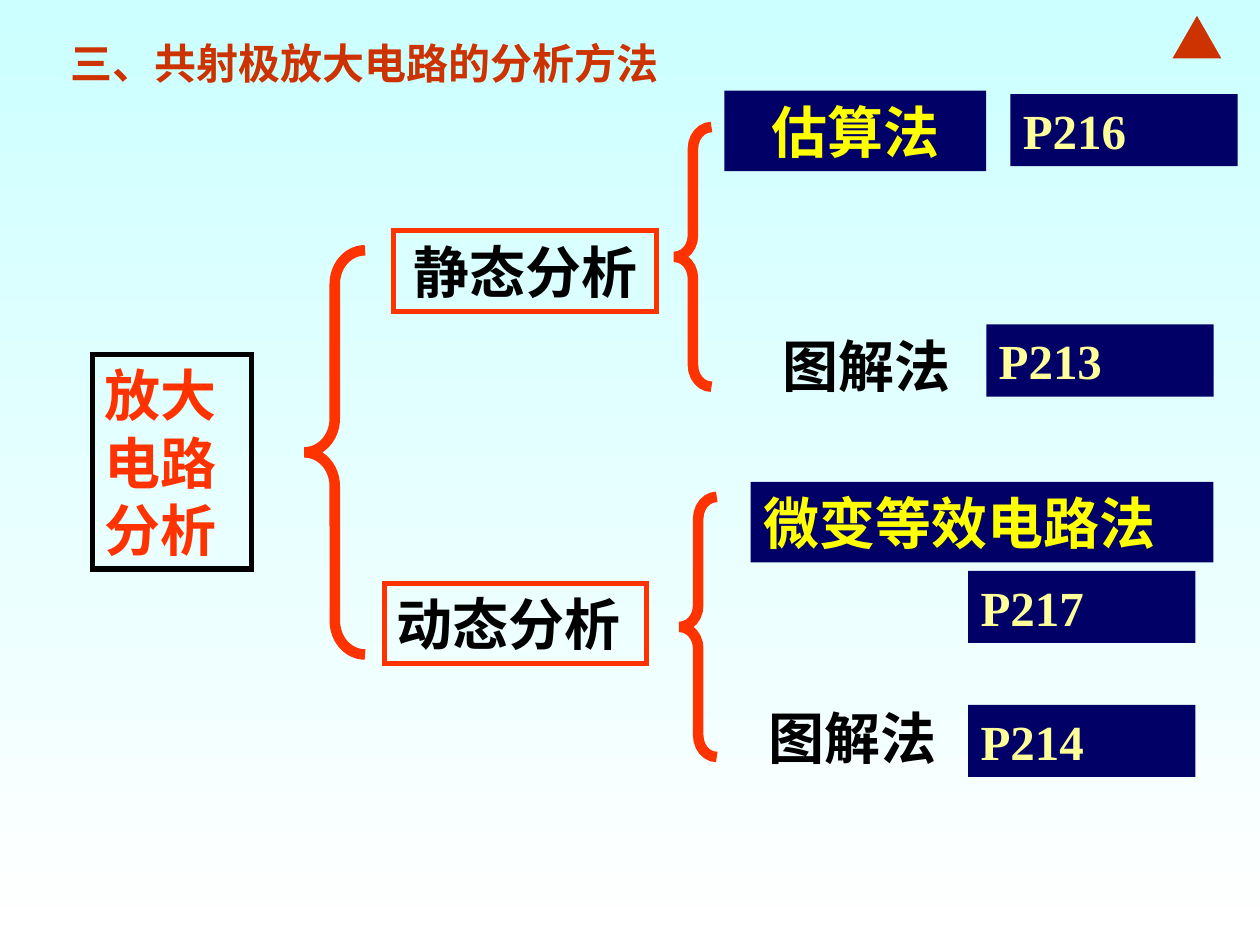
import pptx
import pptx.dml.color
import pptx.enum.shapes
import pptx.enum.text
import pptx.oxml
import pptx.oxml.ns
import pptx.util

Pt = pptx.util.Pt
SHAPE = pptx.enum.shapes.MSO_SHAPE
ANCHOR = pptx.enum.text.MSO_ANCHOR
ALIGN = pptx.enum.text.PP_ALIGN

CJK, LATIN = "Noto Sans CJK SC", "Times New Roman"
NAVY, ORANGE, RUST = "000066", "FF3300", "CC3300"
BLACK, YELLOW = "000000", "FFFF00"


def rgb(value):
    """Turn a hex string into a colour."""
    return pptx.dml.color.RGBColor.from_string(value)


def set_all(obj, values):
    """Set every attribute named in a dict of format values."""
    for name, value in values.items():
        setattr(obj, name, value)


def set_background(slide, top, bottom):
    """Fill the slide with a vertical gradient."""
    fill = slide.background.fill
    fill.gradient()
    fill.gradient_angle = 270
    for stop, color in zip(fill.gradient_stops, (top, bottom)):
        stop.color.rgb = rgb(color)


def add_text(sp, text, color, size, font=CJK, align=ALIGN.LEFT, anchor=ANCHOR.MIDDLE):
    """Write one bold paragraph into a shape."""
    tf = sp.text_frame
    set_all(tf, {"word_wrap": True, "vertical_anchor": anchor,
                 "margin_left": Pt(7.2), "margin_right": Pt(7.2),
                 "margin_top": Pt(3.6), "margin_bottom": Pt(3.6)})
    p = tf.paragraphs[0]
    p.alignment = align
    r = p.add_run()
    r.text = text
    set_all(r.font, {"name": font, "size": Pt(size), "bold": True})
    r.font.color.rgb = rgb(color)
    ea = pptx.oxml.parse_xml(
        f'<a:ea {pptx.oxml.ns.nsdecls("a")} typeface="{font}"/>')
    r.font._element.find(pptx.oxml.ns.qn("a:latin")).addnext(ea)


def add_preset(slide, kind, box, fill=None, line=None, weight=3):
    """Add a preset shape with an optional fill and mitred outline."""
    sp = slide.shapes.add_shape(kind, *map(Pt, box))
    sp.shadow.inherit = False
    if fill:
        sp.fill.solid()
        sp.fill.fore_color.rgb = rgb(fill)
    else:
        sp.fill.background()
    if line:
        sp.line.color.rgb = rgb(line)
        sp.line.width = Pt(weight)
        ln = sp._element.spPr.find(pptx.oxml.ns.qn("a:ln"))
        ln.append(pptx.oxml.parse_xml(
            f'<a:miter {pptx.oxml.ns.nsdecls("a")} lim="800000"/>'))
    else:
        sp.line.fill.background()
    return sp


def add_label(slide, box, text, color, size=32, **style):
    """Add text without a frame."""
    add_text(slide.shapes.add_textbox(*map(Pt, box)), text, color, size, **style)


def add_box(slide, box, text, color, fill=None, line=None, size=32, **style):
    """Add a filled or outlined rectangle holding text."""
    sp = add_preset(slide, SHAPE.RECTANGLE, box, fill, line)
    add_text(sp, text, color, size, **style)


def add_brace(slide, left, top, width, height):
    """Add a left brace whose curves are a twelfth of its height."""
    sp = add_preset(slide, SHAPE.LEFT_BRACE, (left, top, width, height),
                    line=ORANGE, weight=6)
    sp.adjustments[0] = height / 12 / width
    sp.adjustments[1] = 0.5


def add_page(slide, left, top, text):
    """Add a page reference."""
    add_box(slide, (left, top, 129.9, 41.2), text, "FFFF99", fill=NAVY,
            size=28, font=LATIN, anchor=ANCHOR.TOP)


def main():
    """Build the slide of analysis methods."""
    prs = pptx.Presentation()
    set_all(prs, {"slide_width": Pt(720), "slide_height": Pt(540)})
    slide = prs.slides.add_slide(prs.slide_layouts[6])
    set_background(slide, "CCFFFF", "FFFFFF")

    add_preset(slide, SHAPE.ISOSCELES_TRIANGLE, (670, 9, 28, 24.4), fill=RUST)
    add_label(slide, (33.4, 18, 410, 36), "三、共射极放大电路的分析方法", RUST,
              size=24, anchor=ANCHOR.TOP)

    add_box(slide, (52.7, 202.5, 91, 122.6), "放大电路分析", ORANGE, line=BLACK)
    add_brace(slide, 174, 143, 34.6, 231)

    add_box(slide, (225, 131.8, 150.2, 46), "静态分析", BLACK, line=ORANGE,
            align=ALIGN.CENTER)
    add_brace(slide, 385.4, 72.6, 21.2, 148.4)
    add_box(slide, (414, 51.8, 149.6, 46), "估算法", YELLOW, fill=NAVY,
            align=ALIGN.CENTER)
    add_label(slide, (412.6, 185.4, 165, 46), "图解法", BLACK, align=ALIGN.CENTER)

    add_box(slide, (219.6, 333.3, 150, 46), "动态分析", BLACK, line=ORANGE)
    add_brace(slide, 388.4, 284, 21.2, 148.6)
    add_box(slide, (429, 275.4, 264.4, 46), "微变等效电路法", YELLOW, fill=NAVY)
    add_label(slide, (432, 398.4, 174, 46), "图解法", BLACK)

    for left, top, text in ((577.4, 53.8, "P216"), (563.6, 185.4, "P213"),
                            (553.2, 402.8, "P214"), (553.2, 326.2, "P217")):
        add_page(slide, left, top, text)

    prs.save("out.pptx")


if __name__ == "__main__":
    main()
